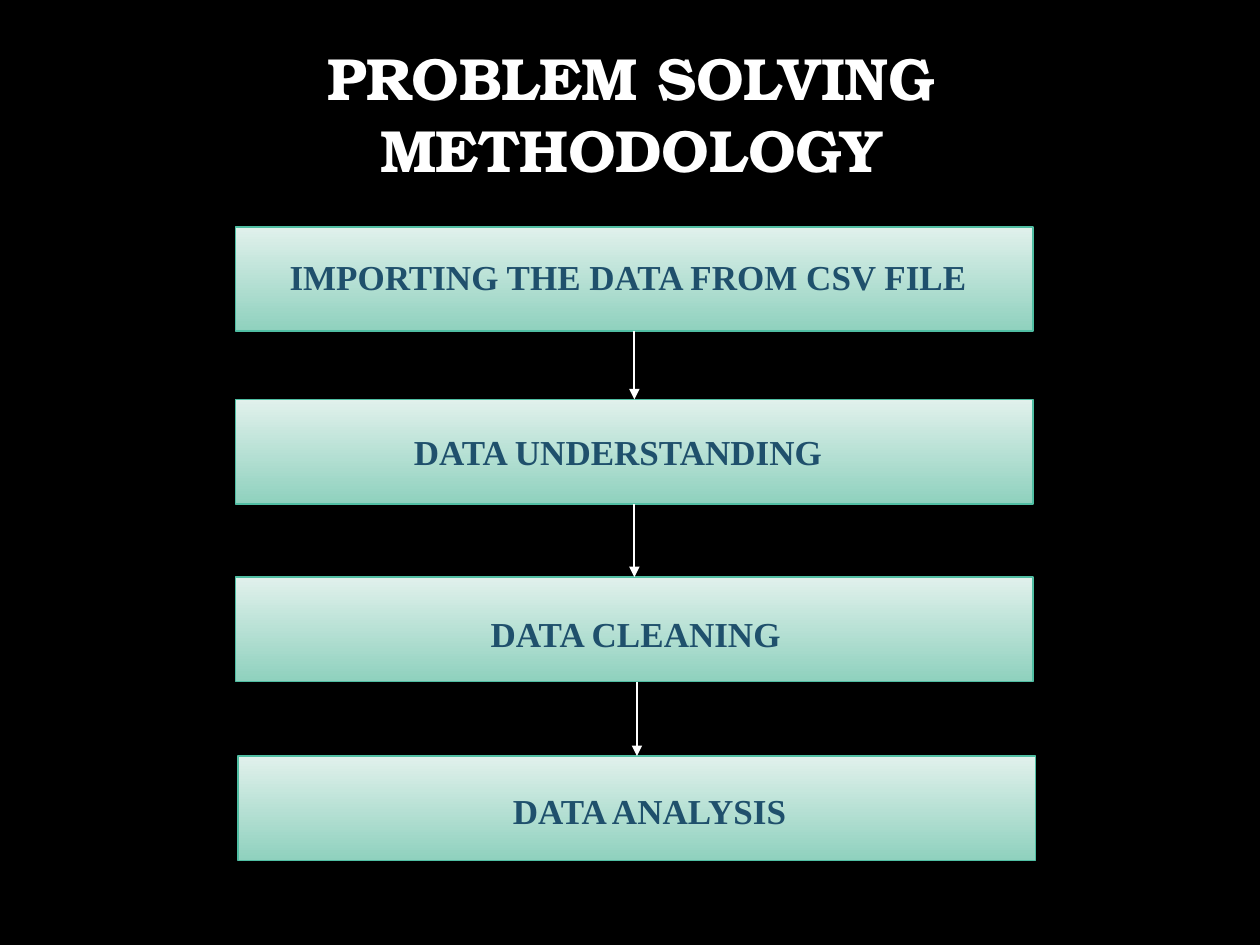
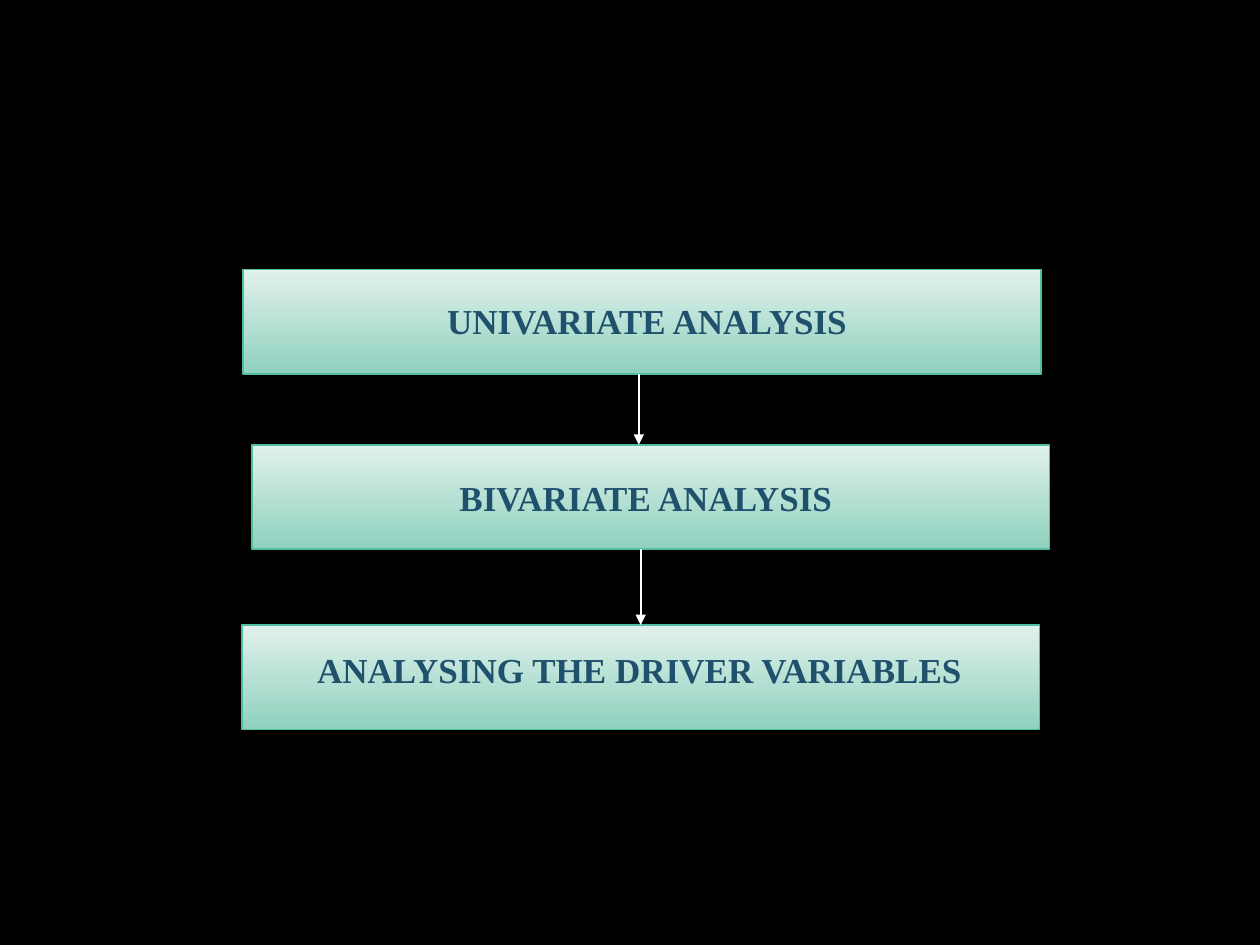
"""Build two slides of flow charts on a problem solving methodology."""
from dataclasses import dataclass

from lxml import etree
from pptx import Presentation
from pptx.dml.color import RGBColor as RGB
from pptx.enum.shapes import MSO_CONNECTOR as CONN, MSO_SHAPE as SHAPE
from pptx.enum.text import MSO_ANCHOR as ANCHOR, MSO_AUTO_SIZE as FIT, PP_ALIGN as ALIGN
from pptx.oxml.ns import qn
from pptx.util import Inches, Pt


@dataclass(frozen=True)
class Theme:
    background: RGB = RGB.from_string("000000")
    light: RGB = RGB.from_string("FFFFFF")
    box_top: RGB = RGB.from_string("E1F1EC")
    box_bottom: RGB = RGB.from_string("8FD1BE")
    box_line: RGB = RGB.from_string("50BEA3")
    label: RGB = RGB.from_string("1F506C")
    title_font: str = "TeX Gyre Bonum"
    label_font: str = "Times New Roman"
    title_size: Pt = Pt(34)
    label_size: Pt = Pt(20)
    line_width: Pt = Pt(1)


THEME = Theme()
BOX_W, BOX_H = 6.33, 0.83
LABEL_W, LABEL_H = 6.31, 0.44


def add_text(tf, text, font, size, color):
    tf.word_wrap = True
    tf.auto_size = FIT.SHAPE_TO_FIT_TEXT
    p = tf.paragraphs[0]
    p.alignment = ALIGN.CENTER
    r = p.add_run()
    r.text = text
    r.font.name, r.font.size, r.font.bold = font, size, True
    r.font.color.rgb = color
    return p, r


def add_step(s, text, left, top, label_left, label_top):
    sp = s.shapes.add_shape(SHAPE.RECTANGLE, Inches(left), Inches(top), Inches(BOX_W), Inches(BOX_H))
    sp.shadow.inherit = False
    sp.fill.gradient()
    sp.fill.gradient_angle = 270
    for stop, position, color in zip(sp.fill.gradient_stops, (0, 1), (THEME.box_top, THEME.box_bottom)):
        stop.position = position
        stop.color.rgb = color
    sp.line.color.rgb = THEME.box_line
    sp.line.width = THEME.line_width
    label = s.shapes.add_textbox(Inches(label_left), Inches(label_top), Inches(LABEL_W), Inches(LABEL_H))
    add_text(label.text_frame, text, THEME.label_font, THEME.label_size, THEME.label)
    return sp


prs = Presentation()
prs.slide_width, prs.slide_height = Inches(10), Inches(7.5)
fill = prs.slide_master.background.fill
fill.solid()
fill.fore_color.rgb = THEME.background

method = prs.slides.add_slide(prs.slide_layouts[5])
title = method.shapes.title
title.left, title.top, title.width, title.height = Inches(1.25), Inches(0.51), Inches(7.51), Inches(0.76)
tf = title.text_frame
tf.vertical_anchor = ANCHOR.MIDDLE
tf.margin_left = tf.margin_right = tf.margin_bottom = 0
tf.margin_top = Inches(0.01)
p, r = add_text(tf, "PROBLEM SOLVING METHODOLOGY", THEME.title_font, THEME.title_size, THEME.light)
p.space_before = Pt(0.9)
p._p.get_or_add_pPr().set("marL", str(Inches(0.01)))
r._r.get_or_add_rPr().set("spc", "-10")

analysis = prs.slides.add_slide(prs.slide_layouts[6])

flows = [
    (method, [
        ("IMPORTING THE DATA FROM CSV FILE", 1.87, 1.8, 1.83, 1.98),
        ("DATA UNDERSTANDING", 1.87, 3.17, 1.75, 3.37),
        ("DATA CLEANING", 1.87, 4.58, 1.89, 4.81),
        ("DATA ANALYSIS", 1.89, 6, 2, 6.22),
    ]),
    (analysis, [
        ("UNIVARIATE ANALYSIS", 1.93, 2.14, 1.98, 2.33),
        ("BIVARIATE ANALYSIS", 2, 3.53, 1.97, 3.73),
        ("ANALYSING THE DRIVER VARIABLES", 1.92, 4.96, 1.92, 5.1),
    ]),
]
free_arrow_x = {"BIVARIATE ANALYSIS": Inches(5.07)}

for s, steps in flows:
    boxes = [add_step(s, *step) for step in steps]
    for upper, lower, step in zip(boxes, boxes[1:], steps[1:]):
        middle = lower.left + lower.width // 2
        x = free_arrow_x.get(step[0], middle)
        arrow = s.shapes.add_connector(CONN.STRAIGHT, x, upper.top + upper.height, x, lower.top)
        if x == upper.left + upper.width // 2:
            arrow.begin_connect(upper, 2)
        if x == middle:
            arrow.end_connect(lower, 0)
        arrow.line.color.rgb = THEME.light
        arrow.line.width = THEME.line_width
        etree.SubElement(arrow.line._get_or_add_ln(), qn("a:tailEnd"), type="triangle")
        etree.SubElement(arrow._element.spPr, qn("a:effectLst"))

prs.save("out.pptx")
